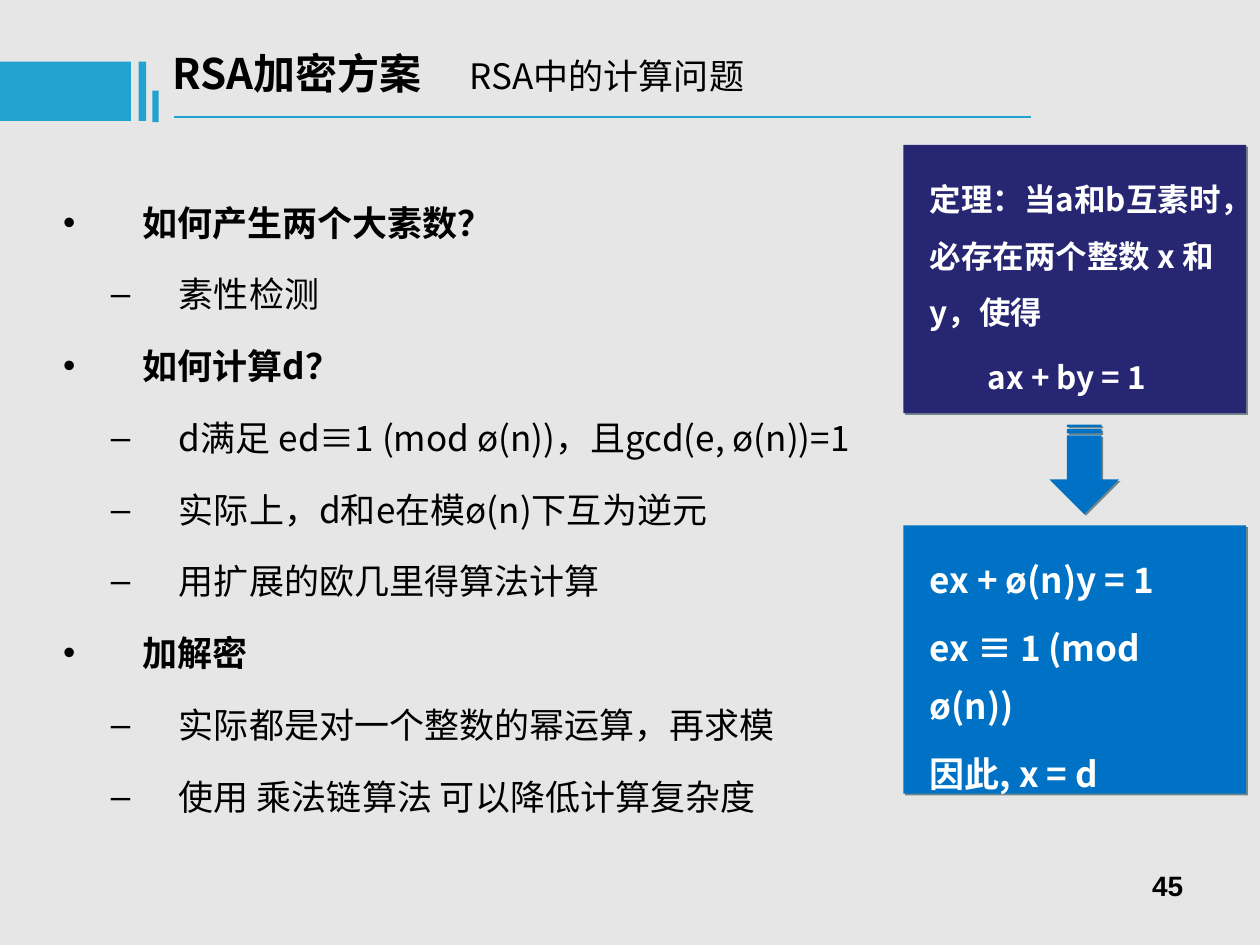
from lxml import etree
from pptx import Presentation
from pptx import util as u
from pptx.dml.color import RGBColor
from pptx.enum import shapes, text
from pptx.oxml.ns import qn

BLACK = RGBColor(0x00, 0x00, 0x00)
WHITE = RGBColor(0xFF, 0xFF, 0xFF)
GRAY = RGBColor(0xE7, 0xE6, 0xE6)
CYAN = RGBColor(0x21, 0xA3, 0xD0)
NAVY = RGBColor(0x26, 0x26, 0x73)
BLUE = RGBColor(0x00, 0x72, 0xC6)
SHADOW = RGBColor(0x70, 0x86, 0x88)
CJK = "Noto Sans CJK SC"

deck = Presentation()
deck.slide_width, deck.slide_height = u.Inches(10), u.Inches(7.5)
page = deck.slides.add_slide(deck.slide_layouts[6])
page.background.fill.solid()
page.background.fill.fore_color.rgb = GRAY


def add_text(place, lines, size, color, bold=True, font=CJK, spacing=1.0, before=0, inset=(0.1, 0.05)):
    box = page.shapes.add_textbox(*map(u.Inches, place))
    frame = box.text_frame
    frame.word_wrap = True
    frame.margin_left = frame.margin_right = u.Inches(inset[0])
    frame.margin_top = frame.margin_bottom = u.Inches(inset[1])
    frame.text = "\n".join(lines)
    for number, para in enumerate(frame.paragraphs):
        para.line_spacing = spacing
        para.space_before = u.Pt(before if number else 0)
        for span in para.runs:
            span.font.size, span.font.bold, span.font.name = u.Pt(size), bold, font
            span.font.color.rgb = color
            etree.SubElement(span.font._element, qn("a:ea"), typeface=font)
    return frame.paragraphs


def add_block(kind, place, color, shaded=False):
    block = page.shapes.add_shape(kind, *map(u.Inches, place))
    block.shadow.inherit = False
    block.fill.solid()
    block.fill.fore_color.rgb = color
    block.line.fill.background()
    if shaded:
        effects = block._element.spPr.find(qn("a:effectLst"))
        outer = etree.SubElement(effects, qn("a:outerShdw"), blurRad="0", dist=str(u.Pt(1.4)),
                                 dir="2700000", algn="ctr", rotWithShape="0")
        etree.SubElement(outer, qn("a:srgbClr"), val=str(SHADOW))
    return block


RECT = shapes.MSO_SHAPE.RECTANGLE
for place in [(0, 0.49, 1.04, 0.47), (1.1, 0.49, 0.06, 0.47), (1.21, 0.72, 0.05, 0.25)]:
    add_block(RECT, place, CYAN)
rule = page.shapes.add_connector(shapes.MSO_CONNECTOR.STRAIGHT, u.Inches(1.38), u.Inches(0.93),
                                 u.Inches(8.18), u.Inches(0.93))
rule.line.color.rgb = CYAN
rule.line.width = u.Pt(1.5)
etree.SubElement(rule._element.spPr, qn("a:effectLst"))

title = add_text((1.27, 0.33, 6.51, 0.5), ["RSA加密方案\t"], 24, BLACK)[0]
tabs = etree.SubElement(title._p.get_or_add_pPr(), qn("a:tabLst"))
etree.SubElement(tabs, qn("a:tab"), pos=str(u.Inches(2.36)), algn="l")
subtitle = title.add_run()
subtitle.text = "RSA中的计算问题"
subtitle.font.size, subtitle.font.bold, subtitle.font.name = u.Pt(20), False, CJK
subtitle.font.color.rgb = BLACK
etree.SubElement(subtitle.font._element, qn("a:ea"), typeface=CJK)

topics = [
    (0, "如何产生两个大素数？"),
    (1, "素性检测"),
    (0, "如何计算d？"),
    (1, "d满足 ed≡1 (mod ø(n))，且gcd(e, ø(n))=1"),
    (1, "实际上，d和e在模ø(n)下互为逆元"),
    (1, "用扩展的欧几里得算法计算"),
    (0, "加解密"),
    (1, "实际都是对一个整数的幂运算，再求模"),
    (1, "使用 乘法链算法 可以降低计算复杂度"),
]
bullets = [("•", 0.63, -0.63), ("–", 0.92, -0.54)]
body = add_text((0.39, 1.37, 7.05, 5.35), [line for _, line in topics], 20, BLACK,
                spacing=1.5, before=5, inset=(0.11, 0.06))
for para, (level, _) in zip(body, topics):
    mark, margin, indent = bullets[level]
    props = para._p.get_or_add_pPr()
    props.set("marL", str(u.Inches(margin)))
    props.set("indent", str(u.Inches(indent)))
    bullet_color = etree.SubElement(props, qn("a:buClr"))
    etree.SubElement(bullet_color, qn("a:srgbClr"), val=str(BLACK))
    etree.SubElement(props, qn("a:buFont"), typeface="Arial")
    etree.SubElement(props, qn("a:buChar"), char=mark)
    para.level = level
    para.runs[0].font.bold = level == 0

panels = [
    (1.15, NAVY, 18, 1.5, 4.5, ["定理：当a和b互素时，必存在两个整数 x 和 y，使得", "ax + by = 1"]),
    (4.17, BLUE, 20, 1.4, 5, ["ex + ø(n)y = 1", "ex ≡ 1 (mod ø(n))", "因此, x = d"]),
]
panel_texts = []
for top, color, size, spacing, before, lines in panels:
    add_block(RECT, (7.17, top, 2.72, 2.13), color, shaded=True)
    panel_texts.append(add_text((7.28, top + 0.08, 2.56, 2.05), lines, size, WHITE,
                                spacing=spacing, before=before))
equation = panel_texts[0][1]
equation._p.get_or_add_pPr().set("marL", str(u.Inches(0.46)))

arrow = add_block(shapes.MSO_SHAPE.STRIPED_RIGHT_ARROW, (8.25, 3.45, 0.71, 0.55), BLUE, shaded=True)
arrow.rotation = 90

number = add_text((7.17, 6.83, 2.33, 0.52), ["45"], 16, BLACK, font="Arial", inset=(0.11, 0.06))[0]
number.alignment = text.PP_ALIGN.RIGHT

deck.save("out.pptx")
